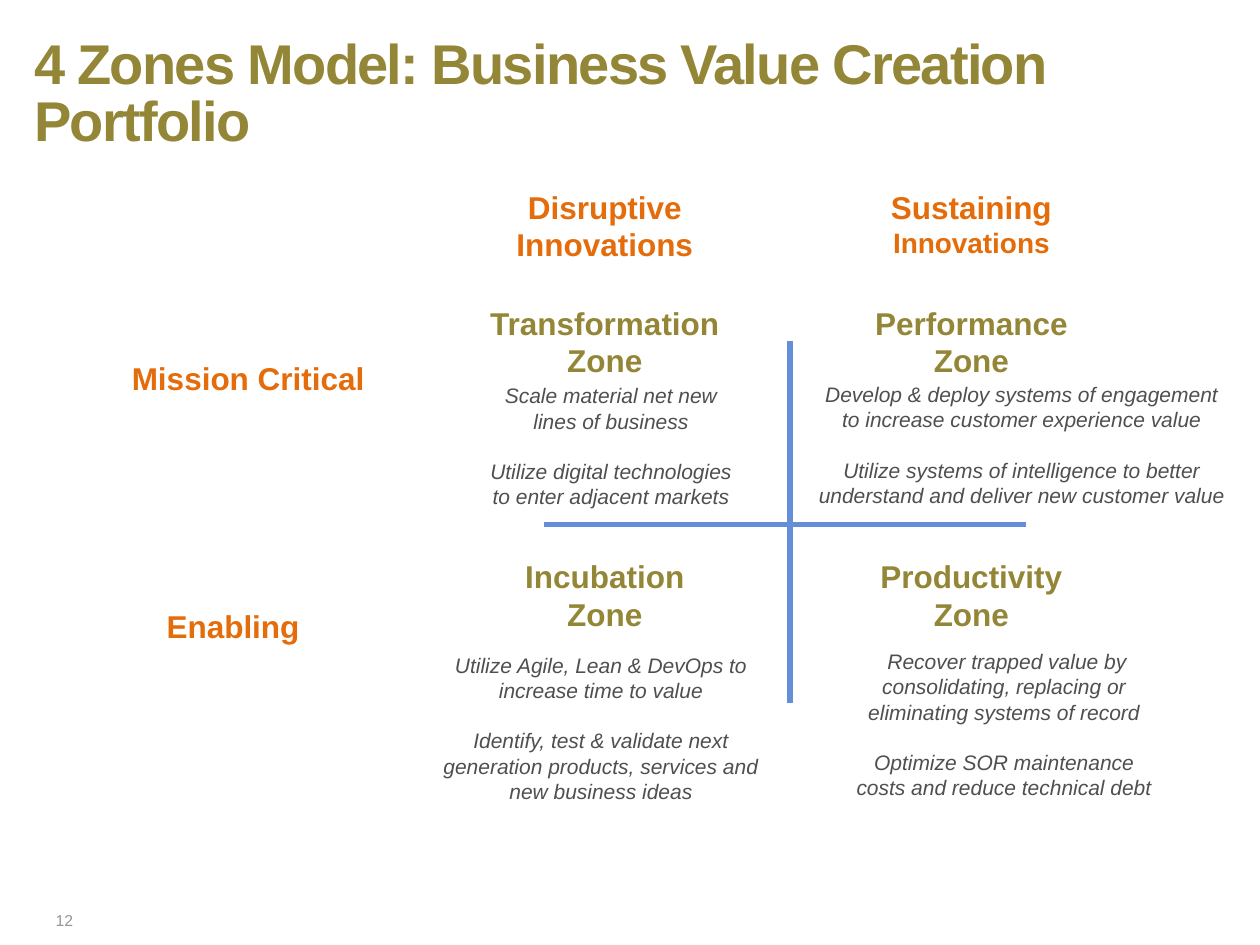
import pptx
import pptx.util
from pptx.dml.color import RGBColor
from pptx.enum.shapes import MSO_CONNECTOR, MSO_SHAPE
from pptx.enum.text import MSO_ANCHOR, PP_ALIGN
from pptx.oxml.ns import qn
from lxml import etree

Inches, Pt = pptx.util.Inches, pptx.util.Pt

# ---- content ----
TITLE = "4 Zones Model: Business Value Creation Portfolio"
PAGE_NUMBER = "12"

# Box width, then paragraphs; one paragraph is a list of (text, style) runs.
COLUMN_HEADS = [
    (2.89, [[("Disruptive", "axis")], [("Innovations", "axis")]]),
    (2.53, [[("Sustaining", "axis"), (" Innovations", "axis_small")]]),
]
# text, centre, top, width, height
ROW_HEADS = [
    ("Mission Critical", (1.97, 2.8, 3.76, 0.64)),
    ("Enabling", (1.85, 4.77, 3.7, 0.88)),
]

# column, row, name, name width, whether the name has a panel,
# notes (centre, top, width, height), notes
ZONES = [
    (0, 1, "Incubation", 1.48, True, (4.77, 5.13, 2.85, 1.58),
     ["Utilize Agile, Lean & DevOps to increase time to value",
      "Identify, test & validate next generation products, services and new business ideas"]),
    (0, 0, "Transformation", 2.04, True, (4.85, 2.99, 2.26, 1.11),
     ["Scale material net new lines of business",
      "Utilize digital technologies to enter adjacent markets"]),
    (1, 0, "Performance", 1.74, True, (8.11, 2.98, 3.49, 1.72),
     ["Develop & deploy systems of engagement to increase customer experience value",
      "Utilize systems of intelligence to better understand and deliver new customer value"]),
    (1, 1, "Productivity", 2.26, False, (7.97, 5.1, 2.66, 1.51),
     [" Recover trapped value by consolidating, replacing or eliminating systems of record",
      "Optimize SOR maintenance costs and reduce technical debt"]),
]

# ---- theme ----
OLIVE, ORANGE, SLATE, GREY, BLUE, WHITE = (
    RGBColor.from_string(code)
    for code in ("938636", "E46C0A", "4F4F51", "959597", "648ED8", "FFFFFF"))
THEME = {
    "title": {"size": Pt(32), "bold": True, "color": OLIVE},
    "axis": {"size": Pt(18), "bold": True, "color": ORANGE},
    "axis_small": {"size": Pt(16), "bold": True, "color": ORANGE},
    "zone": {"size": Pt(18), "bold": True, "color": OLIVE},
    "note": {"size": Pt(12), "italic": True, "color": SLATE},
    "page": {"size": Pt(9), "color": GREY},
}
FONT = "Arial"
NOTE_GAP = Pt(14.3)

# ---- grid (inches) ----
WIDTH, HEIGHT = 10, 7.5
COLUMN_CENTRES = [0.48 * WIDTH, 0.771 * WIDTH]
COLUMN_HEAD_TOP = 1.44
ZONE_TOPS = [2.36, 4.37]
HEAD_HEIGHT = 0.71
AXES = [(6.27, 2.71, 6.27, 5.61), (8.14, 4.16, 4.32, 4.16)]
AXIS_FOOT = (6.11, 5.58, 2.26, 0.37)


def style_font(font, style):
    font.name = FONT
    for attribute, value in THEME[style].items():
        if attribute == "color":
            font.color.rgb = value
        else:
            setattr(font, attribute, value)


def set_margins(frame, margin):
    for side in ("left", "right", "top", "bottom"):
        setattr(frame, f"margin_{side}", Inches(margin))


def add_panel(slide, box):
    """Add a plain white rectangle that covers what lies behind it."""
    panel = slide.shapes.add_shape(MSO_SHAPE.RECTANGLE, *map(Inches, box))
    panel.shadow.inherit = False
    panel.fill.solid()
    panel.fill.fore_color.rgb = WHITE
    panel.line.fill.background()
    return panel


def add_text(slide, spot, paragraphs, gap=0, align=PP_ALIGN.CENTER, panel=False):
    """Add text at (centre, top, width, height); gap separates paragraphs."""
    centre, top, width, height = spot
    box = (centre - width / 2, top, width, height)
    if panel:
        frame = add_panel(slide, box).text_frame
    else:
        frame = slide.shapes.add_textbox(*map(Inches, box)).text_frame
    frame.word_wrap = not panel
    frame.vertical_anchor = MSO_ANCHOR.TOP
    for index, runs in enumerate(paragraphs):
        paragraph = frame.add_paragraph() if index else frame.paragraphs[0]
        paragraph.alignment = align
        if index and gap:
            paragraph.space_before = gap
        for text, style in runs:
            run = paragraph.add_run()
            run.text = text
            style_font(run.font, style)
    return frame


def add_title(slide):
    title = slide.shapes.title
    title.left, title.top, title.width, title.height = map(
        Inches, (0.22, 0.26, 9.65, 1.08))
    frame = title.text_frame
    frame.word_wrap = True
    frame.vertical_anchor = MSO_ANCHOR.TOP
    set_margins(frame, 0.05)
    paragraph = frame.paragraphs[0]
    paragraph.alignment = PP_ALIGN.LEFT
    paragraph.line_spacing = 0.85
    run = paragraph.add_run()
    run.text = TITLE
    style_font(run.font, "title")
    run._r.get_or_add_rPr().set("spc", "-100")


def add_axis(slide, ends):
    axis = slide.shapes.add_connector(
        MSO_CONNECTOR.STRAIGHT, *map(Inches, ends))
    axis.line.color.rgb = BLUE
    axis.line.width = Pt(3)
    etree.SubElement(axis._element.spPr, qn("a:effectLst"))


def main():
    deck = pptx.Presentation()
    deck.slide_width, deck.slide_height = Inches(WIDTH), Inches(HEIGHT)
    slide = deck.slides.add_slide(deck.slide_layouts[5])

    for ends in AXES:
        add_axis(slide, ends)
    add_title(slide)

    for centre, (width, head) in zip(COLUMN_CENTRES, COLUMN_HEADS):
        add_text(slide, (centre, COLUMN_HEAD_TOP, width, HEAD_HEIGHT), head)
    for head, spot in ROW_HEADS:
        add_text(slide, spot, [[(head, "axis")]])

    for column, row, name, width, panel, _, _ in ZONES:
        add_text(slide, (COLUMN_CENTRES[column], ZONE_TOPS[row], width, HEAD_HEIGHT),
                 [[(word, "zone")] for word in (name, "Zone")], panel=panel)
    add_panel(slide, AXIS_FOOT)
    for *_, spot, notes in ZONES:
        add_text(slide, spot, [[(note, "note")] for note in notes], gap=NOTE_GAP)

    page = add_text(slide, (0.375, 7.17, 0.51, 0.27), [[(PAGE_NUMBER, "page")]],
                    align=PP_ALIGN.RIGHT)
    page.vertical_anchor = MSO_ANCHOR.MIDDLE
    set_margins(page, 0.05)

    deck.save("out.pptx")


if __name__ == "__main__":
    main()
